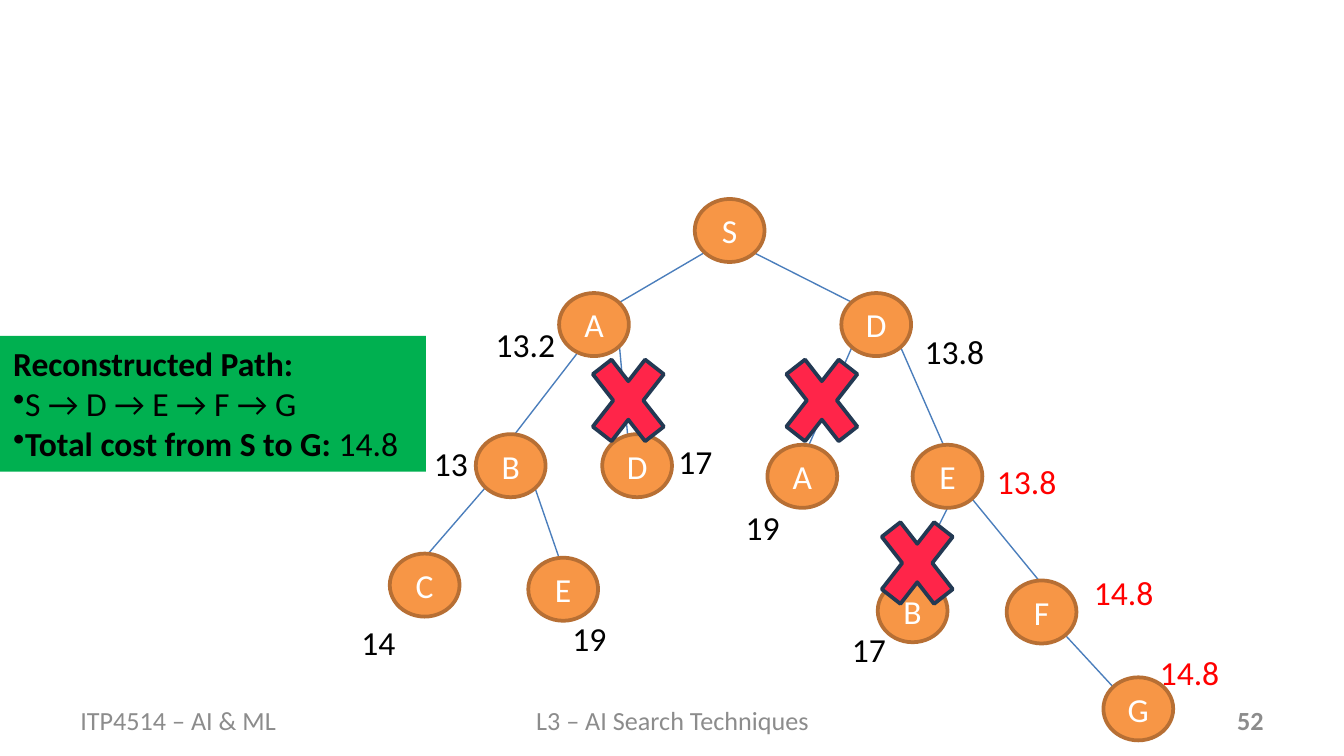
from lxml.etree import SubElement
from pptx import Presentation
from pptx.dml.color import RGBColor
from pptx.enum.shapes import MSO_CONNECTOR, MSO_SHAPE
from pptx.enum.text import MSO_ANCHOR, PP_ALIGN
from pptx.oxml.ns import qn
from pptx.util import Pt

BLACK = RGBColor(0x00, 0x00, 0x00)
WHITE = RGBColor(0xFF, 0xFF, 0xFF)
GRAY = RGBColor(0x8C, 0x8C, 0x8C)
RED = RGBColor(0xFF, 0x00, 0x00)
ORANGE = RGBColor(0xF7, 0x96, 0x46)
BROWN = RGBColor(0xB7, 0x6F, 0x34)
BLUE = RGBColor(0x4B, 0x7E, 0xBC)
CRIMSON = RGBColor(0xFF, 0x25, 0x49)
NAVY = RGBColor(0x23, 0x39, 0x53)
GREEN = RGBColor(0x00, 0xB0, 0x50)

EDGES = [  # x and y of both ends
    (377.3, 135.4, 331.9, 162),
    (403.9, 135.4, 456.5, 162),
    (310.3, 187.9, 275.8, 232.6),
    (336.2, 232.6, 331.9, 185.8),
    (259.9, 261.4, 227.5, 298.8),
    (286.6, 261.4, 299.5, 298.8),
    (433.4, 238.3, 456.5, 185.8),
    (505.4, 238.3, 482.4, 185.8),
    (488.2, 311, 507.6, 272.2),
    (556.6, 311, 520.6, 267.1),
    (596.2, 367.9, 571, 340.6),
]
NODES = [
    ("S", 372.2, 106.6),
    ("A", 299.5, 157), ("D", 450.7, 157),
    ("B", 254.9, 232.6), ("D", 322.6, 232.6),
    ("A", 411.1, 238.3), ("E", 488.9, 238.3),
    ("C", 208.8, 296.6), ("E", 283, 298.8),
    ("B", 470.2, 310.3), ("F", 539.3, 311),
    ("G", 591.1, 362.9),
]
COSTS = [
    ("13.2", 258.5, 169.9, BLACK), ("13.8", 488.2, 173.5, BLACK),
    ("13", 225.4, 234, BLACK), ("17", 356.4, 232.6, BLACK),
    ("14", 186.5, 329.8, BLACK), ("19", 299.5, 327.6, BLACK),
    ("19", 392.4, 267.8, BLACK), ("17", 449.3, 333.4, BLACK),
    ("13.8", 527, 243.4, RED), ("14.8", 578.9, 303.1, RED),
    ("14.8", 614.2, 345.6, RED),
]
CROSSES = [(309.6, 180), (413.3, 180), (464.4, 267.1)]
PATH_LINES = [  # bulleted, then (text, bold) spans
    (False, [("Reconstructed Path:", True)]),
    (True, [("S → D → E → F → G", False)]),
    (True, [("Total cost from S to G:", True), (" 14.8", False)]),
]


class TreeSlide:
    font_name = "Calibri"
    text_size = 18
    footer_size = 14

    def __init__(self, page):
        self.shapes = page.shapes

    def style(self, para, color, size=text_size, bold=None, align=PP_ALIGN.LEFT):
        para.alignment = align
        para.font.name = self.font_name
        para.font.size = Pt(size)
        para.font.bold = bold
        para.font.color.rgb = color

    def shape(self, kind, left, top, width, height, fill, line=None):
        shape = self.shapes.add_shape(kind, Pt(left), Pt(top), Pt(width), Pt(height))
        shape.shadow.inherit = False
        shape.fill.solid()
        shape.fill.fore_color.rgb = fill
        if line is None:
            shape.line.fill.background()
        else:
            shape.line.color.rgb = line
            shape.line.width = Pt(2)
        return shape

    def text(self, text, left, top, width, height, color, wrap=False,
             anchor=MSO_ANCHOR.TOP, **styling):
        box = self.shapes.add_textbox(Pt(left), Pt(top), Pt(width), Pt(height))
        frame = box.text_frame
        frame.word_wrap = wrap
        frame.vertical_anchor = anchor
        frame.text = text
        self.style(frame.paragraphs[0], color, **styling)

    def edge(self, *ends):
        line = self.shapes.add_connector(MSO_CONNECTOR.STRAIGHT, *map(Pt, ends))
        line.line.color.rgb = BLUE
        line.line.width = Pt(0.75)
        SubElement(line._element.spPr, qn("a:effectLst"))

    def node(self, name, left, top):
        frame = self.shape(MSO_SHAPE.OVAL, left, top, 37.4, 33.8, ORANGE, BROWN).text_frame
        frame.vertical_anchor = MSO_ANCHOR.MIDDLE
        frame.text = name
        self.style(frame.paragraphs[0], WHITE, align=PP_ALIGN.CENTER)

    def cost(self, value, left, top, color):
        width = 46.8 if "." in value else 33.1
        self.text(value, left, top, width, 28.8, color)

    def cross(self, left, top):
        self.shape(MSO_SHAPE.MATH_MULTIPLY, left, top, 54, 69.1, CRIMSON, NAVY)

    def footer(self, text, left, width, align, bold=None):
        self.text(text, left, 375.1, width, 21.6, GRAY, wrap=True,
                  anchor=MSO_ANCHOR.MIDDLE, size=self.footer_size, bold=bold, align=align)

    def path_panel(self, lines):
        frame = self.shape(MSO_SHAPE.RECTANGLE, 0, 180, 228.2, 72.7, GREEN).text_frame
        frame.word_wrap = True
        frame.vertical_anchor = MSO_ANCHOR.TOP
        for number, (bulleted, spans) in enumerate(lines):
            para = frame.add_paragraph() if number else frame.paragraphs[0]
            if bulleted:
                SubElement(para._p.get_or_add_pPr(), qn("a:buChar")).set("char", "•")
            self.style(para, BLACK)
            for text, bold in spans:
                span = para.add_run()
                span.text = text
                span.font.bold = bold


def main():
    deck = Presentation()
    deck.slide_width, deck.slide_height = Pt(720), Pt(405)
    slide = TreeSlide(deck.slides.add_slide(deck.slide_layouts[6]))

    slide.footer("ITP4514 – AI & ML", 36, 130, PP_ALIGN.LEFT)
    slide.footer("L3 – AI Search Techniques", 216, 288.7, PP_ALIGN.CENTER)
    slide.footer("52", 576.7, 107.3, PP_ALIGN.RIGHT, bold=True)
    for edge in EDGES:
        slide.edge(*edge)
    for node in NODES:
        slide.node(*node)
    for cost in COSTS:
        slide.cost(*cost)
    for cross in CROSSES:
        slide.cross(*cross)
    slide.path_panel(PATH_LINES)
    deck.save("out.pptx")


if __name__ == "__main__":
    main()
